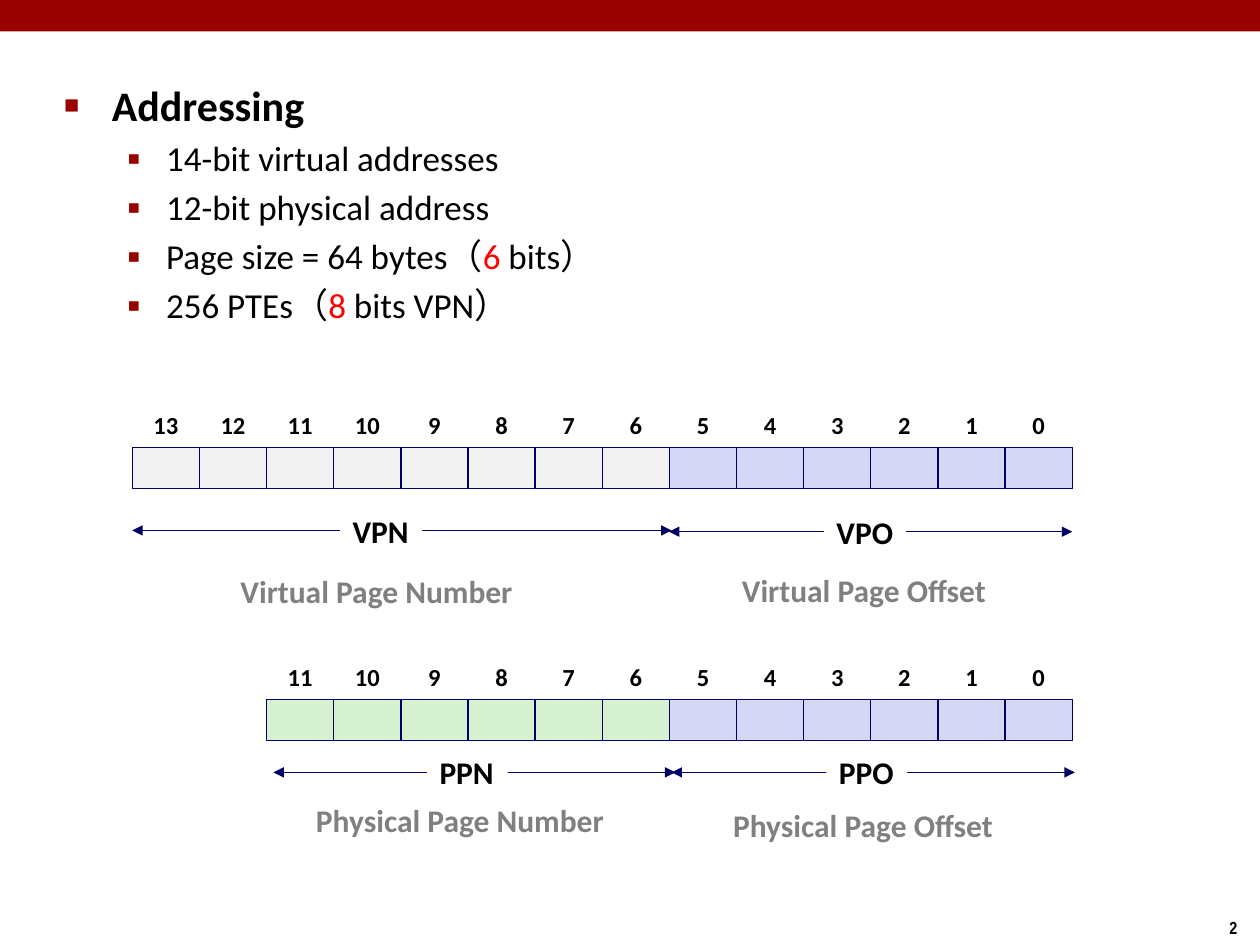
from dataclasses import dataclass

from lxml.etree import SubElement
from pptx import Presentation
from pptx.dml.color import RGBColor
from pptx.enum.shapes import MSO_CONNECTOR as Connector, MSO_SHAPE as Shape
from pptx.enum.text import MSO_ANCHOR as Anchor, PP_ALIGN as Align
from pptx.oxml.ns import qn
from pptx.util import Inches, Pt


@dataclass(frozen=True)
class Theme:
    font: str = "Calibri"
    number_font: str = "Arial Narrow"
    bullet_font: str = "Arial"
    accent: str = "990000"
    text: str = "000000"
    highlight: str = "FF0000"
    caption: str = "808080"
    outline: str = "000066"
    background: str = "FFFFFF"
    virtual_page: str = "F2F2F2"
    physical_page: str = "D5F1CF"
    offset: str = "D6D6F5"
    heading_size: int = 24
    body_size: int = 20
    label_size: int = 18
    bit_size: int = 14
    number_size: int = 10
    line_width: float = 0.75


@dataclass(frozen=True)
class Box:
    left: float
    top: float
    width: float
    height: float

    def lengths(self) -> tuple:
        return tuple(Inches(v) for v in (self.left, self.top, self.width, self.height))


@dataclass(frozen=True)
class Field:
    """A part of an address: its arrow, short name and full name."""
    name: str
    name_box: Box
    arrow_start: float
    arrow_end: float
    arrow_y: float
    caption: str
    caption_box: Box


@dataclass(frozen=True)
class Address:
    bits: int
    cells_top: float
    page_fill: str
    fields: tuple


@dataclass(frozen=True)
class Bullet:
    """Runs alternate between plain and highlighted text."""
    runs: tuple
    level: int = 1


THEME = Theme()
OFFSET_BITS = 6
CELL_WIDTH = 7.46 / 14
CELL_HEIGHT = 0.33
CELLS_RIGHT = 8.51
LABEL_HEIGHT = 0.36

BULLETS = (
    Bullet(("Addressing",), level=0),
    Bullet(("14-bit virtual addresses",)),
    Bullet(("12-bit physical address",)),
    Bullet(("Page size = 64 bytes（", "6", " bits）")),
    Bullet(("256 PTEs（", "8", " bits VPN）")),
)

ADDRESSES = (
    Address(14, 3.55, THEME.virtual_page, (
        Field("VPO", Box(6.54, 4.06, 0.65, LABEL_HEIGHT), 5.31, 8.51, 4.22,
              "Virtual Page Offset", Box(5.79, 4.52, 2.16, LABEL_HEIGHT)),
        Field("VPN", Box(2.7, 4.05, 0.65, LABEL_HEIGHT), 1.05, 5.33, 4.21,
              "Virtual Page Number", Box(1.81, 4.53, 2.38, LABEL_HEIGHT)),
    )),
    Address(12, 5.55, THEME.physical_page, (
        Field("PPO", Box(6.56, 5.97, 0.64, LABEL_HEIGHT), 5.33, 8.53, 6.13,
              "Physical Page Offset", Box(5.72, 6.39, 2.29, LABEL_HEIGHT)),
        Field("PPN", Box(3.39, 5.97, 0.64, LABEL_HEIGHT), 2.17, 5.36, 6.13,
              "Physical Page Number", Box(2.41, 6.35, 2.5, LABEL_HEIGHT)),
    )),
)


def add_run(paragraph, text: str, *, size: float, color: str = THEME.text,
            bold: bool = True, font: str = THEME.font) -> None:
    run = paragraph.add_run()
    run.text = text
    run.font.name = font
    run.font.size = Pt(size)
    run.font.bold = bold
    run.font.color.rgb = RGBColor.from_string(color)


def write_text(shape, text: str, *, align=Align.LEFT, anchor=Anchor.TOP,
               spacing: float = 0.88, before: float = 0, **run_format) -> None:
    """Put one unwrapped line of text in a shape."""
    frame = shape.text_frame
    frame.word_wrap = False
    frame.vertical_anchor = anchor
    frame.margin_left = frame.margin_right = Inches(0.1)
    frame.margin_top = frame.margin_bottom = Inches(0.05)
    paragraph = frame.paragraphs[0]
    paragraph.alignment = align
    paragraph.line_spacing = spacing
    paragraph.space_before = Pt(before)
    add_run(paragraph, text, **run_format)


def add_rectangle(shapes, box: Box, fill: str, outline: str | None = None):
    rectangle = shapes.add_shape(Shape.RECTANGLE, *box.lengths())
    rectangle.shadow.inherit = False
    rectangle.fill.solid()
    rectangle.fill.fore_color.rgb = RGBColor.from_string(fill)
    if outline:
        rectangle.line.color.rgb = RGBColor.from_string(outline)
        rectangle.line.width = Pt(THEME.line_width)
    else:
        rectangle.line.fill.background()
    return rectangle


def add_double_arrow(shapes, start: float, end: float, y: float) -> None:
    arrow = shapes.add_connector(
        Connector.STRAIGHT, Inches(start), Inches(y), Inches(end), Inches(y))
    arrow.line.color.rgb = RGBColor.from_string(THEME.outline)
    arrow.line.width = Pt(THEME.line_width)
    for end_tag in ("a:headEnd", "a:tailEnd"):
        SubElement(arrow.line._get_or_add_ln(), qn(end_tag), type="triangle")
    SubElement(arrow._element.spPr, qn("a:effectLst"))


def format_bullet(paragraph, level: int) -> None:
    """Set indent, space before and the square mark of a list level."""
    indent, hanging, mark, percent = ((0.38, 0.38, "■", 60), (0.81, 0.31, "▪", 110))[level]
    paragraph.level = level
    props = paragraph._p.get_or_add_pPr()
    props.set("marL", str(Inches(indent)))
    props.set("indent", str(-Inches(hanging)))
    SubElement(SubElement(props, qn("a:spcBef")), qn("a:spcPct"), val="20000")
    SubElement(SubElement(props, qn("a:buClr")), qn("a:srgbClr"), val=THEME.accent)
    SubElement(props, qn("a:buSzPct"), val=str(percent * 1000))
    SubElement(props, qn("a:buFont"), typeface=THEME.bullet_font)
    SubElement(props, qn("a:buChar"), char=mark)


def add_bullets(shapes, box: Box, bullets: tuple) -> None:
    frame = shapes.add_textbox(*box.lengths()).text_frame
    frame.word_wrap = True
    for index, bullet in enumerate(bullets):
        paragraph = frame.add_paragraph() if index else frame.paragraphs[0]
        format_bullet(paragraph, bullet.level)
        heading = bullet.level == 0
        for position, text in enumerate(bullet.runs):
            add_run(paragraph, text, bold=heading,
                    size=THEME.heading_size if heading else THEME.body_size,
                    color=THEME.highlight if position % 2 else THEME.text)


def add_address(slide, address: Address) -> None:
    shapes = slide.shapes.add_group_shape().shapes
    for bit in reversed(range(address.bits)):
        left = CELLS_RIGHT - (bit + 1) * CELL_WIDTH
        fill = THEME.offset if bit < OFFSET_BITS else address.page_fill
        add_rectangle(shapes, Box(left, address.cells_top, CELL_WIDTH, CELL_HEIGHT),
                      fill, THEME.outline)
        number_box = Box(left, address.cells_top - CELL_HEIGHT, CELL_WIDTH, CELL_HEIGHT)
        write_text(shapes.add_textbox(*number_box.lengths()), str(bit), before=5.2,
                   align=Align.CENTER, anchor=Anchor.MIDDLE, size=THEME.bit_size)
    for field in address.fields:
        add_double_arrow(shapes, field.arrow_start, field.arrow_end, field.arrow_y)
        write_text(add_rectangle(shapes, field.name_box, THEME.background), field.name,
                   before=6.8, size=THEME.label_size)
        write_text(shapes.add_textbox(*field.caption_box.lengths()), field.caption,
                   before=6.8, size=THEME.label_size, color=THEME.caption)


def main() -> None:
    deck = Presentation()
    deck.slide_width, deck.slide_height = Inches(10), Inches(7.5)
    slide = deck.slides.add_slide(deck.slide_layouts[6])
    add_rectangle(slide.shapes, Box(0, 0, 10, 0.25), THEME.accent)
    page_number = slide.shapes.add_textbox(*Box(9.66, 7.23, 0.34, 0.27).lengths())
    write_text(page_number, "2", spacing=1.0, size=THEME.number_size, font=THEME.number_font)
    add_bullets(slide.shapes, Box(0.41, 0.58, 9.09, 2.22), BULLETS)
    for address in ADDRESSES:
        add_address(slide, address)
    deck.save("out.pptx")


if __name__ == "__main__":
    main()
